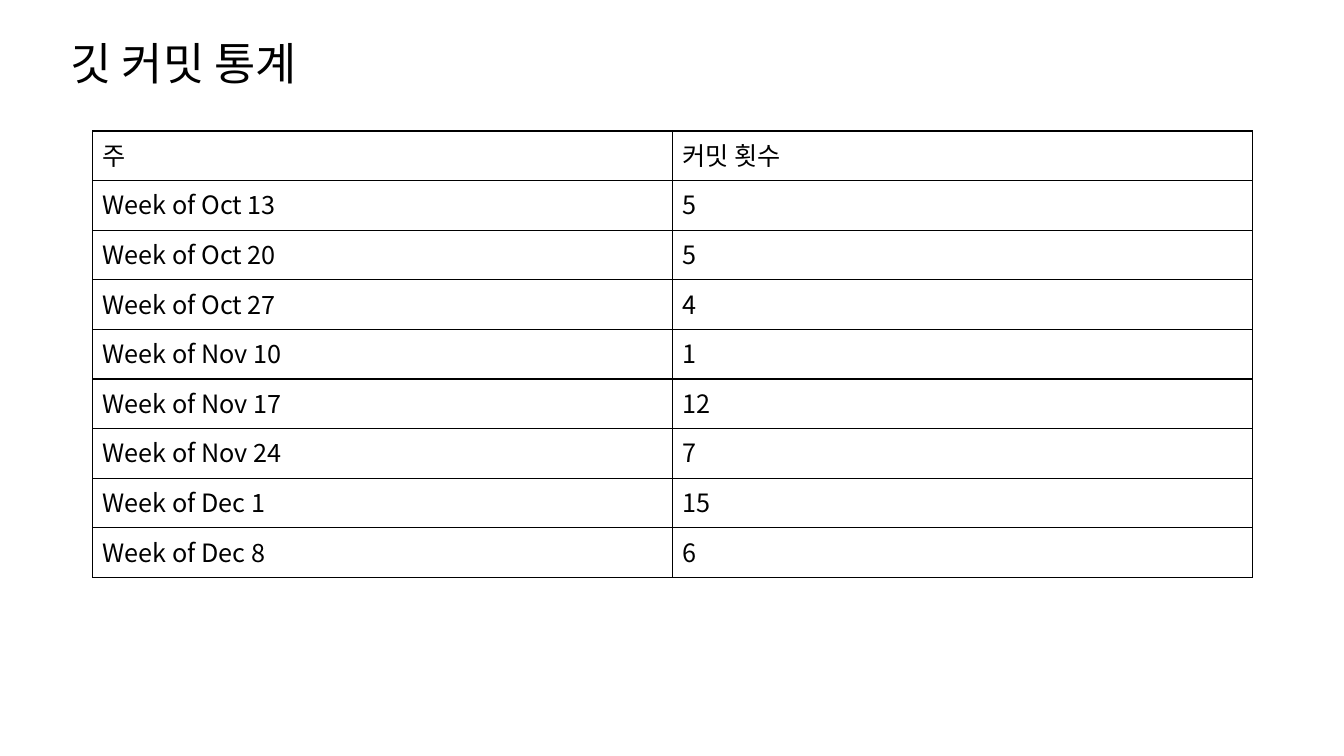
from lxml import etree
from pptx import Presentation
from pptx import util as u
from pptx.dml import color
from pptx.enum import text
from pptx.oxml import ns

FONT = "Noto Sans CJK KR"
BLACK = "000000"


def rgb(value):
    return color.RGBColor.from_string(value)


def format_text(text_frame, size):
    for paragraph in text_frame.paragraphs:
        paragraph.alignment = text.PP_ALIGN.LEFT
        for run in paragraph.runs:
            run.font.size = u.Pt(size)
            run.font.bold = False
            run.font.color.rgb = rgb(BLACK)
            run.font.name = FONT
            east_asian = etree.SubElement(run.font._element, ns.qn("a:ea"))
            east_asian.set("typeface", FONT)


presentation = Presentation()
presentation.slide_width = u.Inches(13.33)
presentation.slide_height = u.Inches(7.5)
slide = presentation.slides.add_slide(presentation.slide_layouts[5])

title = slide.shapes.title
title.left, title.top = u.Inches(0.6), u.Inches(0.21)
title.width, title.height = u.Inches(3.62), u.Inches(0.88)
title.text_frame.text = "깃 커밋 통계"
title.text_frame.vertical_anchor = text.MSO_ANCHOR.MIDDLE
title.text_frame.paragraphs[0].line_spacing = 0.9
format_text(title.text_frame, 32)

commit_rows = [
    ("주", "커밋 횟수"),
    ("Week of Oct 13", "5"),
    ("Week of Oct 20", "5"),
    ("Week of Oct 27", "4"),
    ("Week of Nov 10", "1"),
    ("Week of Nov 17", "12"),
    ("Week of Nov 24", "7"),
    ("Week of Dec 1", "15"),
    ("Week of Dec 8", "6"),
]
table = slide.shapes.add_table(
    len(commit_rows), 2,
    u.Inches(0.92), u.Inches(1.3), u.Inches(11.5), u.Inches(4.43),
).table
table.first_row = False
table.horz_banding = False

for row_index, commit_row in enumerate(commit_rows):
    for column_index, value in enumerate(commit_row):
        cell = table.cell(row_index, column_index)
        cell.text_frame.text = value
        format_text(cell.text_frame, 18)
        properties = cell._tc.get_or_add_tcPr()
        for side in ("a:lnL", "a:lnR", "a:lnT", "a:lnB"):
            border = etree.SubElement(properties, ns.qn(side), w=str(u.Pt(1)))
            fill = etree.SubElement(border, ns.qn("a:solidFill"))
            etree.SubElement(fill, ns.qn("a:srgbClr"), val=BLACK)
        cell.fill.background()

presentation.save("out.pptx")
